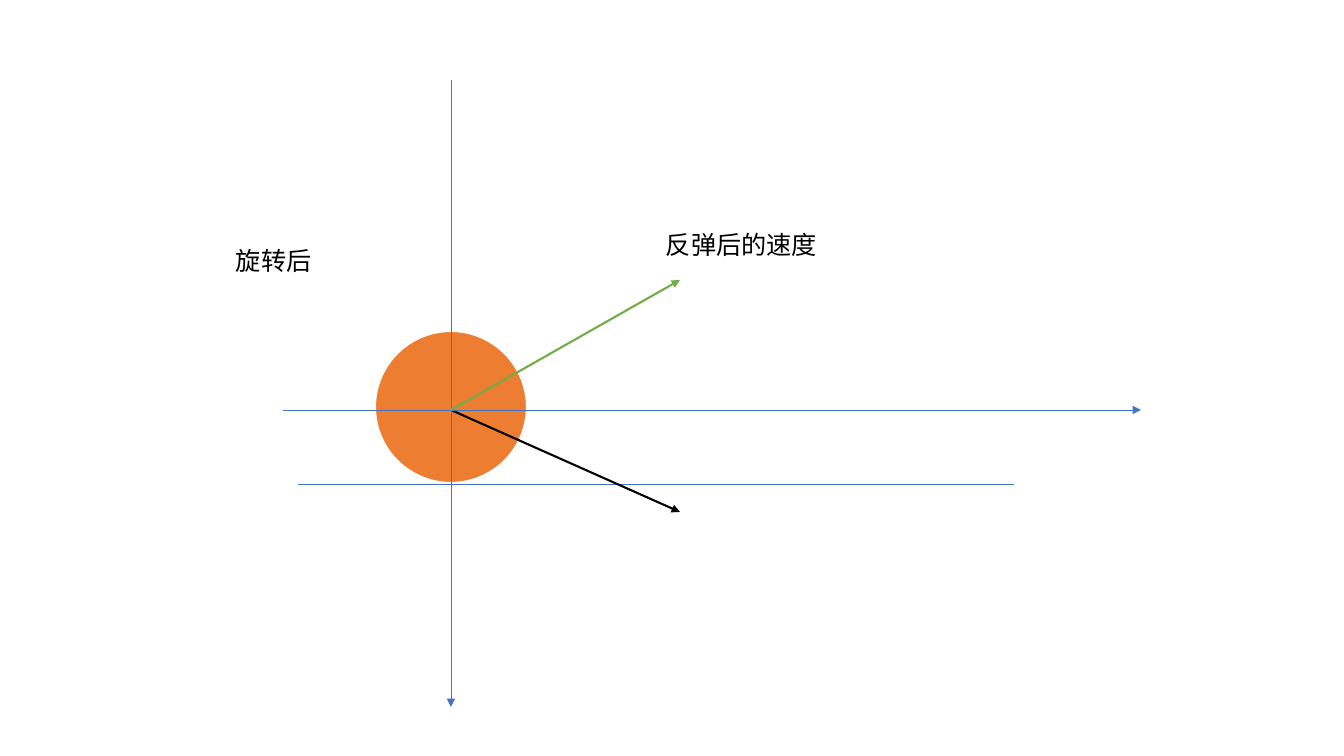
from lxml import etree
from pptx import Presentation
from pptx.dml.color import RGBColor
from pptx.enum import shapes, text
from pptx.oxml import ns
from pptx.util import Pt

PIXEL = 914400 / 100.8
FONT = "Noto Sans CJK SC"
BLACK = RGBColor(0x00, 0x00, 0x00)
WHITE = RGBColor(0xFF, 0xFF, 0xFF)
BLUE = RGBColor(0x44, 0x72, 0xC4)
ORANGE = RGBColor(0xED, 0x7D, 0x31)
GREEN = RGBColor(0x70, 0xAD, 0x47)


def emu(*pixels):
    return [round(pixel * PIXEL) for pixel in pixels]


def add_line(page, start, end, color, width, arrow=True):
    line = page.shapes.add_connector(shapes.MSO_CONNECTOR.STRAIGHT, *emu(*start, *end))
    line.line.color.rgb = color
    line.line.width = Pt(width)
    if arrow:
        outline = line.line._get_or_add_ln()
        etree.SubElement(outline, ns.qn("a:tailEnd"), type="triangle")
    etree.SubElement(line._element.spPr, ns.qn("a:effectLst"))


def add_label(page, left, top, width, height, words):
    label = page.shapes.add_textbox(*emu(left, top, width, height))
    frame = label.text_frame
    frame.word_wrap = False
    frame.auto_size = text.MSO_AUTO_SIZE.SHAPE_TO_FIT_TEXT
    span = frame.paragraphs[0].add_run()
    span.text = words
    for name, value in {"name": FONT, "size": Pt(18)}.items():
        setattr(span.font, name, value)
    span.font.color.rgb = BLACK
    etree.SubElement(span._r.get_or_add_rPr(), ns.qn("a:ea"), typeface=FONT)


def add_bounce_diagram(page, left, top, width, height):
    center_x, center_y = left + 225, top + 330
    center = (center_x, center_y)
    reach = center_x + 229

    # Ground
    ground_y = top + 404
    add_line(page, (left + 72, ground_y), (left + 788, ground_y), BLUE, 0.5, arrow=False)

    # Ball
    size = 152
    ball = page.shapes.add_shape(
        shapes.MSO_SHAPE.OVAL, *emu(center_x - size / 2, ground_y - 153, size, size))
    ball.shadow.inherit = False
    ball.fill.solid()
    ball.fill.fore_color.rgb = ORANGE
    ball.line.color.rgb = WHITE
    ball.line.width = Pt(1.5)

    # Incoming velocity
    add_line(page, center, (reach, center_y + 102), BLACK, 1.5)
    add_label(page, left, top + 160, 97, 40, "旋转后")

    # Rotated axes
    add_line(page, (center_x, top), (center_x, top + height), BLUE, 0.5)
    add_line(page, (left + 57, center_y), (left + width, center_y), BLUE, 0.5)

    # Velocity after the bounce
    add_line(page, center, (reach, center_y - 130), GREEN, 1.5)
    add_label(page, left + 430, top + 144, 173, 40, "反弹后的速度")


deck = Presentation()
deck.slide_width, deck.slide_height = emu(1344, 756)
page = deck.slides.add_slide(deck.slide_layouts[6])
add_bounce_diagram(page, 226, 80, 915, 627)
deck.save("out.pptx")
